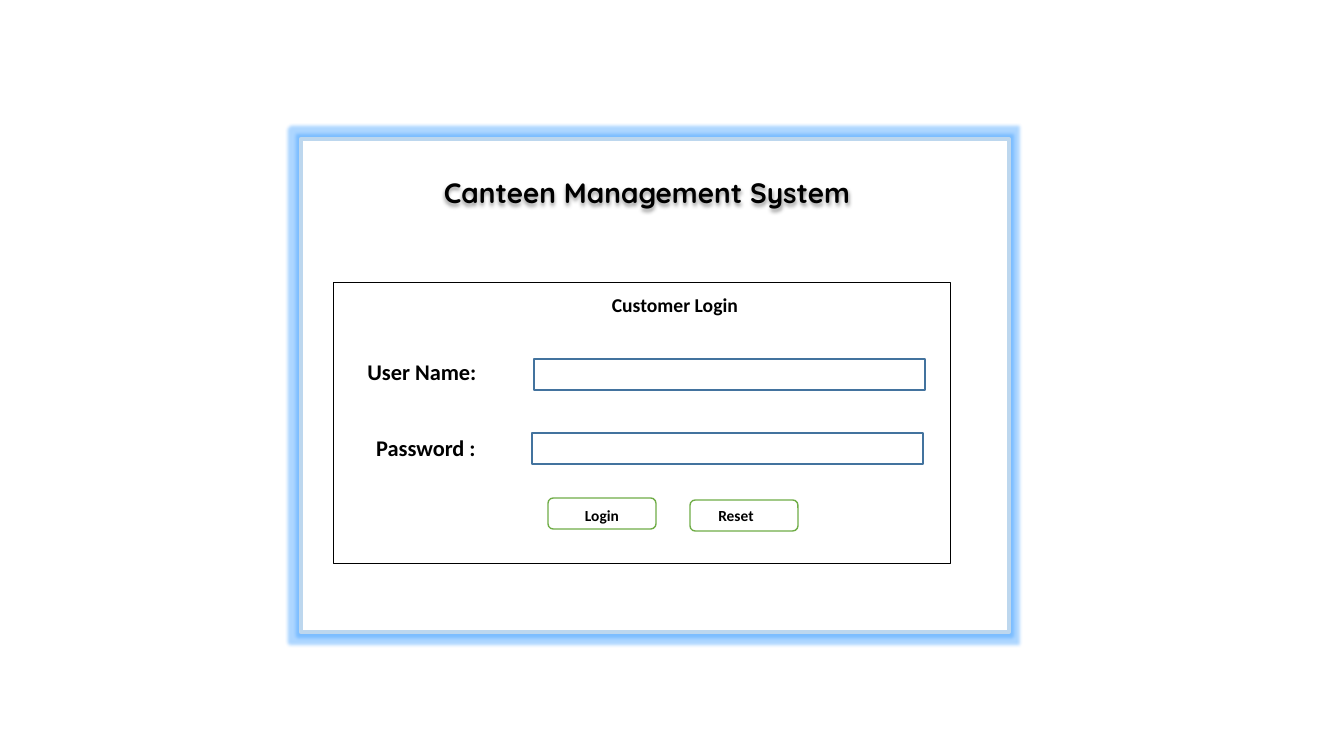
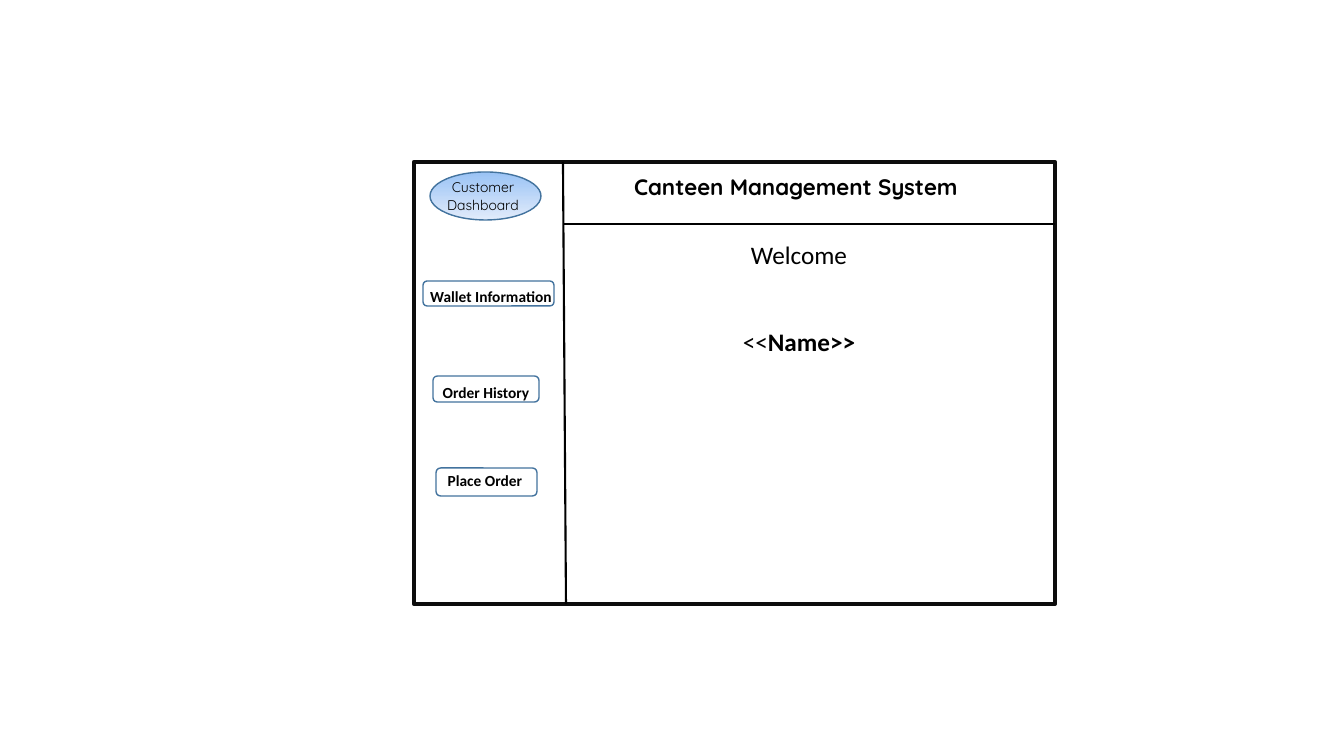
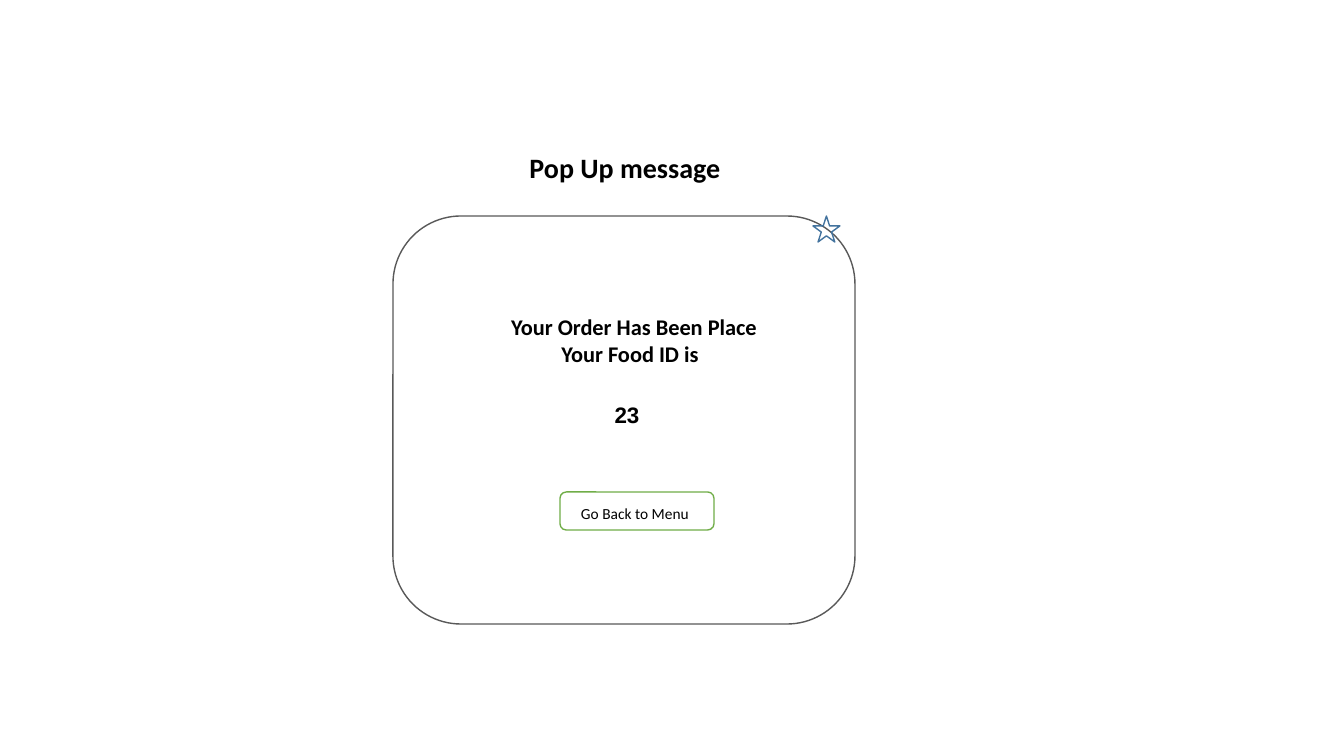
"""Build three wireframe slides of a canteen management system."""
import dataclasses
import typing

import lxml.etree
import pptx
import pptx.dml.color
import pptx.enum.shapes
import pptx.enum.text
import pptx.oxml
import pptx.oxml.ns
import pptx.shapes.base
import pptx.slide
import pptx.util

EMU_PER_PIXEL = 914400 / 100.8
COLORS = {
    "ink": "000000", "paper": "FFFFFF", "halo": "3399FF", "window": "BDD7EE",
    "field": "43739E", "action": "70AD47", "frame": "0D0D0D", "popup": "595959",
    "badge_top": "9AC3F5", "badge_bottom": "E1EBFB",
}
SYSTEM_NAME = "Canteen Management System"
TITLE_FONT = "Quicksand"
PRESETS = pptx.enum.shapes.MSO_SHAPE


@dataclasses.dataclass(frozen=True)
class Box:
    left: int
    top: int
    width: int
    height: int
    line: typing.Optional[str] = None
    weight: float = 1
    preset: PRESETS = PRESETS.RECTANGLE
    fill: typing.Optional[str] = None


@dataclasses.dataclass(frozen=True)
class Label:
    text: str
    center_x: int
    center_y: int
    width: int
    size: int
    bold: bool = True
    font: str = "Calibri"
    bold_tail: str = ""
    height: int = 40
    gap: int = 0
    fill: typing.Optional[str] = None


@dataclasses.dataclass(frozen=True)
class Rule:
    start_x: int
    start_y: int
    end_x: int
    end_y: int


def px(pixels: float) -> pptx.util.Emu:
    return pptx.util.Emu(round(pixels * EMU_PER_PIXEL))


def rgb(name: str) -> pptx.dml.color.RGBColor:
    return pptx.dml.color.RGBColor.from_string(COLORS[name])


def draw_box(slide: pptx.slide.Slide, box: Box) -> pptx.shapes.base.BaseShape:
    shape = slide.shapes.add_shape(
        box.preset, px(box.left), px(box.top), px(box.width), px(box.height))
    shape.shadow.inherit = False
    if box.fill:
        shape.fill.solid()
        shape.fill.fore_color.rgb = rgb(box.fill)
    else:
        shape.fill.background()
    if box.line:
        shape.line.color.rgb = rgb(box.line)
        shape.line.width = pptx.util.Pt(box.weight)
    else:
        shape.line.fill.background()
    return shape


def draw_label(slide: pptx.slide.Slide, label: Label) -> pptx.shapes.base.BaseShape:
    left = round(label.center_x - label.width / 2)
    top = round(label.center_y - label.height / 2)
    if label.fill:
        caption = draw_box(slide, Box(left, top, label.width, label.height,
                                      fill=label.fill))
    else:
        caption = slide.shapes.add_textbox(
            px(left), px(top), px(label.width), px(label.height))
    frame = caption.text_frame
    frame.word_wrap = True
    frame.vertical_anchor = pptx.enum.text.MSO_ANCHOR.MIDDLE
    frame.margin_left = frame.margin_right = frame.margin_top = frame.margin_bottom = 0
    frame.text = label.text
    for paragraph in frame.paragraphs:
        paragraph.alignment = pptx.enum.text.PP_ALIGN.CENTER
        paragraph.font.name = label.font
        paragraph.font.size = pptx.util.Pt(label.size)
        paragraph.font.bold = label.bold
        paragraph.font.color.rgb = rgb("ink")
    for paragraph in frame.paragraphs[1:]:
        paragraph.space_before = pptx.util.Pt(label.gap)
    if label.bold_tail:
        tail = frame.paragraphs[-1].add_run()
        tail.text = label.bold_tail
        tail.font.bold = True
    return caption


def draw_rule(slide: pptx.slide.Slide, rule: Rule) -> None:
    divider = slide.shapes.add_connector(
        pptx.enum.shapes.MSO_CONNECTOR.STRAIGHT,
        px(rule.start_x), px(rule.start_y), px(rule.end_x), px(rule.end_y))
    divider.line.color.rgb = rgb("ink")
    divider.line.width = pptx.util.Pt(1.5)
    lxml.etree.SubElement(divider._element.spPr, pptx.oxml.ns.qn("a:effectLst"))


def add_effect(shape: pptx.shapes.base.BaseShape, kind: str, color: str,
               **lengths: int) -> None:
    shape.shadow.inherit = False
    effects = shape._element.spPr.find(pptx.oxml.ns.qn("a:effectLst"))
    effect = lxml.etree.SubElement(effects, pptx.oxml.ns.qn(f"a:{kind}"))
    for key, length in lengths.items():
        effect.set(key, str(length))
    tint = lxml.etree.SubElement(effect, pptx.oxml.ns.qn("a:srgbClr"), val=COLORS[color])
    lxml.etree.SubElement(tint, pptx.oxml.ns.qn("a:alpha"), val="40000")


def button(left: int, top: int, width: int, height: int, line: str) -> Box:
    return Box(left, top, width, height, line, preset=PRESETS.ROUNDED_RECTANGLE,
               fill="paper")


def draw_all(slide: pptx.slide.Slide, boxes: typing.Sequence[Box],
             labels: typing.Sequence[Label]) -> None:
    for box in boxes:
        draw_box(slide, box)
    for label in labels:
        draw_label(slide, label)


def build_login(slide: pptx.slide.Slide) -> None:
    window = draw_box(slide, Box(301, 139, 708, 493, "window", 3, fill="paper"))
    add_effect(window, "glow", "halo", rad=63500)
    heading = draw_label(slide, Label(SYSTEM_NAME, 647, 192, 500, 20, font=TITLE_FONT))
    add_effect(heading, "outerShdw", "ink", blurRad=38100, dist=25400, dir=5400000)
    draw_all(slide, [
        Box(333, 282, 617, 281, "ink", 0.25),
        Box(534, 359, 391, 31, "field"),
        Box(532, 433, 391, 31, "field"),
        button(548, 498, 108, 31, "action"),
        button(690, 500, 108, 31, "action"),
    ], [
        Label("Customer Login", 675, 305, 264, 14),
        Label("User Name:", 422, 372, 170, 16),
        Label("Password :", 426, 448, 130, 16, height=38, fill="paper"),
        Label("Login", 602, 515, 62, 11, height=28),
        Label("Reset", 736, 515, 80, 11, height=28),
    ])


def build_dashboard(slide: pptx.slide.Slide) -> None:
    draw_box(slide, Box(414, 162, 641, 442, "frame", 3))
    for rule in (Rule(563, 162, 566, 604), Rule(564, 224, 1055, 224)):
        draw_rule(slide, rule)
    badge = draw_box(slide, Box(430, 172, 111, 48, "field", preset=PRESETS.OVAL))
    badge.fill.gradient()
    badge.fill.gradient_angle = 270
    for stop, color in zip(badge.fill.gradient_stops, ("badge_top", "badge_bottom")):
        stop.color.rgb = rgb(color)
    draw_all(slide, [
        button(423, 281, 131, 25, "field"),
        button(433, 376, 106, 26, "field"),
        button(436, 468, 101, 28, "field"),
    ], [
        Label("Customer\nDashboard", 483, 196, 110, 10, False, TITLE_FONT, gap=1),
        Label("Welcome\n<<", 799, 298, 400, 18, False, bold_tail="Name>>",
              height=132, gap=40, fill="paper"),
        Label(SYSTEM_NAME, 796, 187, 420, 16, font=TITLE_FONT),
        Label("Wallet Information", 491, 296, 140, 11, height=28),
        Label("Order History", 486, 392, 106, 11, height=28),
        Label("Place Order", 485, 480, 100, 11, height=28),
    ])


def build_popup(slide: pptx.slide.Slide) -> None:
    draw_all(slide, [
        Box(393, 216, 462, 408, "popup", preset=PRESETS.ROUNDED_RECTANGLE),
        Box(813, 216, 27, 26, "field", preset=PRESETS.STAR_5_POINT),
        button(560, 492, 154, 38, "action"),
    ], [
        Label("Pop Up message", 625, 167, 270, 20),
        Label("Your Order Has Been Place", 634, 327, 320, 16, height=28),
        Label("Your Food ID is", 630, 354, 320, 16, height=28),
        Label("23", 627, 415, 100, 16, font="Arial"),
        Label("Go Back to Menu", 635, 513, 130, 11, False, height=28),
    ])


def main() -> None:
    deck = pptx.Presentation()
    deck.slide_width, deck.slide_height = px(1344), px(756)
    for build in (build_login, build_dashboard, build_popup):
        build(deck.slides.add_slide(deck.slide_layouts[6]))
    deck.save("out.pptx")


main()
